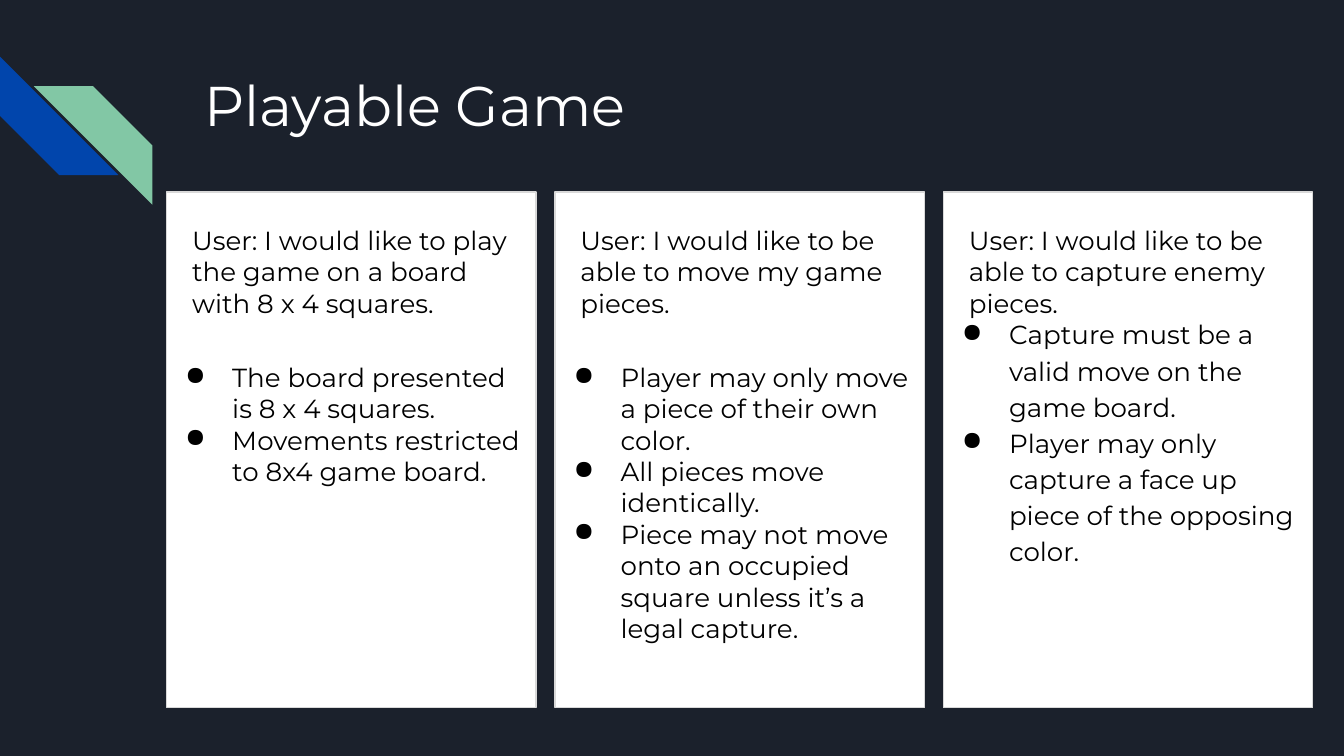
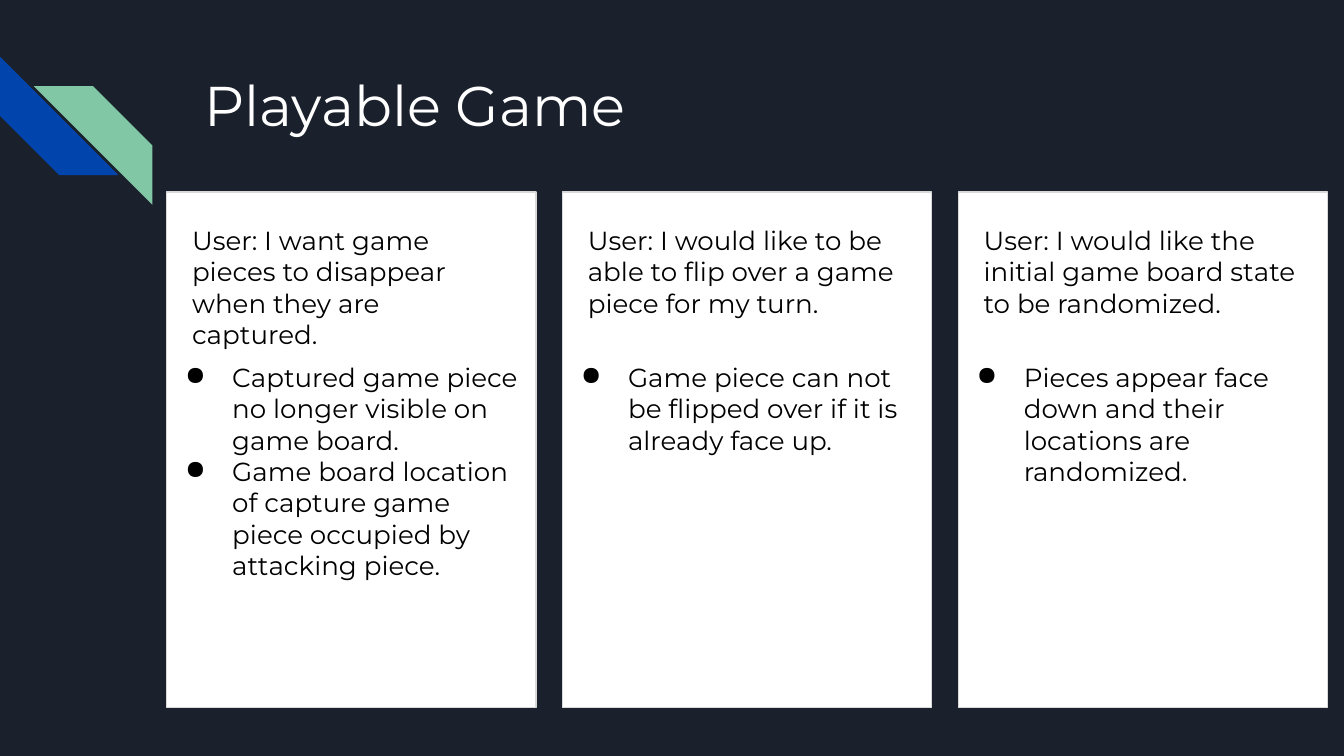
from lxml import etree
from pptx import Presentation
from pptx.dml.color import RGBColor
from pptx.enum.shapes import MSO_SHAPE
from pptx.enum.text import MSO_ANCHOR, MSO_AUTO_SIZE, PP_ALIGN
from pptx.oxml.ns import qn
from pptx.util import Cm, Pt

RECT, STRIPE = MSO_SHAPE.RECTANGLE, MSO_SHAPE.DIAGONAL_STRIPE
TOP, LEFT, NO_FIT = MSO_ANCHOR.TOP, PP_ALIGN.LEFT, MSO_AUTO_SIZE.NONE

NAVY = RGBColor(0x1B, 0x21, 0x2C)
BLUE = RGBColor(0x01, 0x45, 0xAC)
GREEN = RGBColor(0x82, 0xC7, 0xA5)
WHITE = RGBColor(0xFF, 0xFF, 0xFF)
BLACK = RGBColor(0x00, 0x00, 0x00)
GREY = RGBColor(0xD9, 0xD9, 0xD9)

FONT = "Montserrat"
TITLE_SIZE, TEXT_SIZE = Pt(30), Pt(14)
INSET = Cm(0.25)
FRAME = {"word_wrap": True, "auto_size": NO_FIT, "vertical_anchor": TOP,
         "margin_left": INSET, "margin_right": INSET,
         "margin_top": INSET, "margin_bottom": INSET}

# Stripe: left, top, colour, rotation, mirrored
STRIPES = [(0, 1.07, BLUE, 270, False), (0.64, 1.63, GREEN, 0, True)]
STRIPE_SIZE = 2.24

CARD_LEFT, CARD_TOP, CARD_W, CARD_H = 3.15, 3.63, 6.98, 9.75
LIST_TOP = 6.58
TIGHT = {"line_spacing": 1.0}
LOOSE = {"line_spacing": 1.15}

# Slide: distance between cards, then (story, criteria, list top, spacing)
SLIDES = [
    (7.34, [
        ("User: I would like to play the game on a board with 8 x 4 squares.",
         ["The board presented is 8 x 4 squares.",
          "Movements restricted to 8x4 game board."], LIST_TOP, TIGHT),
        ("User: I would like to be able to move my game pieces.",
         ["Player may only move a piece of their own color.",
          "All pieces move identically.",
          "Piece may not move onto an occupied square unless it’s a legal capture."],
         LIST_TOP, TIGHT),
        ("User: I would like to be able to capture enemy pieces.",
         ["Capture must be a valid move on the game board.",
          "Player may only capture a face up piece of the opposing color."],
         5.69, LOOSE),
    ]),
    (7.48, [
        ("User: I want game pieces to disappear when they are captured.",
         ["Captured game piece no longer visible on game board.",
          "Game board location of capture game piece occupied by attacking piece."],
         LIST_TOP, TIGHT),
        ("User: I would like to be able to flip over a game piece for my turn.",
         ["Game piece can not be flipped over if it is already face up."],
         LIST_TOP, TIGHT),
        ("User: I would like the initial game board state to be randomized.",
         ["Pieces appear face down and their locations are randomized."],
         LIST_TOP, TIGHT),
    ]),
]


def write(sp, lines, size, color, spacing=TIGHT, bullets=False):
    """Fill a shape's text frame with one paragraph per line."""
    tf = sp.text_frame
    for name, value in FRAME.items():
        setattr(tf, name, value)
    for i, line in enumerate(lines):
        p = tf.paragraphs[0] if i == 0 else tf.add_paragraph()
        p.alignment = LEFT
        for name, value in spacing.items():
            setattr(p, name, value)
        r = p.add_run()
        r.text = line
        r.font.name, r.font.size = FONT, size
        r.font.color.rgb = color
        if bullets:
            pPr = p._p.get_or_add_pPr()
            pPr.set("marL", str(Cm(1.27)))
            pPr.set("indent", str(-Cm(0.89)))
            clr = etree.SubElement(pPr, qn("a:buClr"))
            etree.SubElement(clr, qn("a:srgbClr"), val=str(color))
            etree.SubElement(pPr, qn("a:buChar"), char="●")


def add_filled(slide, kind, left, top, width, height, color):
    sp = slide.shapes.add_shape(kind, Cm(left), Cm(top), Cm(width), Cm(height))
    sp.shadow.inherit = False
    sp.fill.solid()
    sp.fill.fore_color.rgb = color
    sp.line.fill.background()
    return sp


prs = Presentation()
prs.slide_width, prs.slide_height = Cm(25.4), Cm(14.29)
bg = prs.slide_master.background.fill
bg.solid()
bg.fore_color.rgb = NAVY
title_only = prs.slide_layouts[5]

for pitch, cards in SLIDES:
    slide = prs.slides.add_slide(title_only)

    for left, top, color, rotation, mirrored in STRIPES:
        sp = add_filled(slide, STRIPE, left, top, STRIPE_SIZE, STRIPE_SIZE, color)
        sp.rotation = rotation
        if mirrored:
            sp._element.spPr.xfrm.set("flipH", "1")

    title = slide.shapes.title
    title.left, title.top = Cm(3.61), Cm(1.09)
    title.width, title.height = Cm(19.56), Cm(1.68)
    write(title, ["Playable Game"], TITLE_SIZE, WHITE)

    for i, (story, criteria, list_top, spacing) in enumerate(cards):
        left = CARD_LEFT + i * pitch
        card = add_filled(slide, RECT, left, CARD_TOP, CARD_W, CARD_H, WHITE)
        card.line.color.rgb = GREY
        card.line.width = Pt(0.75)
        sp = slide.shapes.add_textbox(Cm(left + 0.23), Cm(3.99), Cm(6.48), Cm(1.37))
        write(sp, [story], TEXT_SIZE, BLACK)
        sp = slide.shapes.add_textbox(Cm(left - 0.28), Cm(list_top), Cm(7.26), Cm(6.32))
        write(sp, criteria, TEXT_SIZE, BLACK, spacing, bullets=True)

prs.save("out.pptx")
